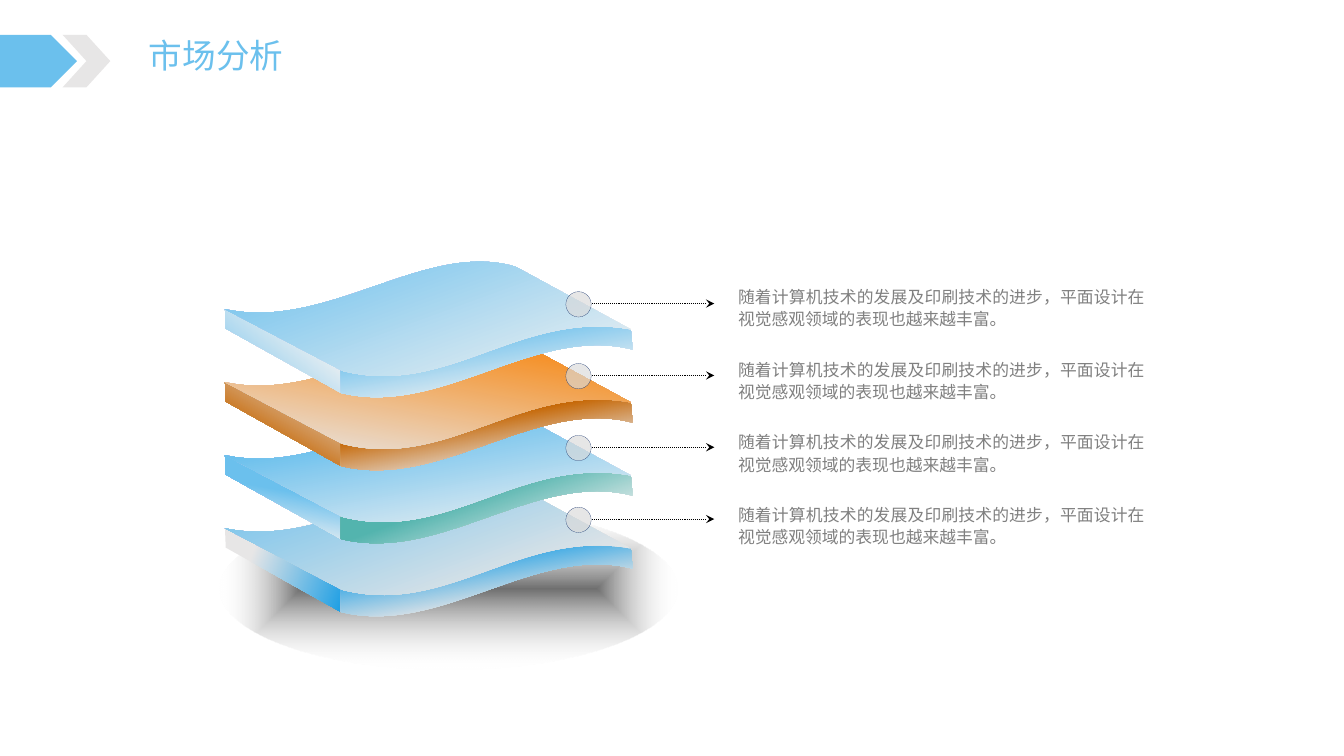
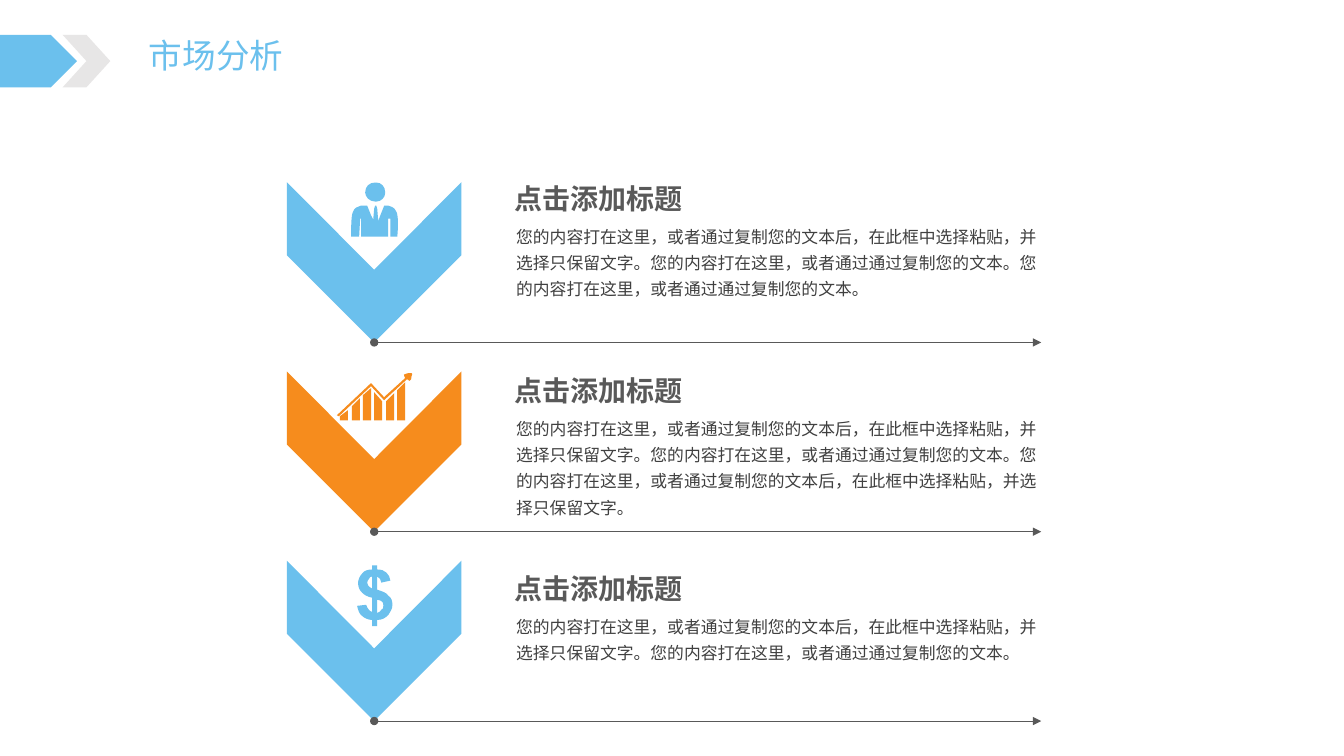
from lxml import etree
from pptx import Presentation
from pptx.dml.color import RGBColor
from pptx.enum.dml import MSO_LINE
from pptx.enum.shapes import MSO_CONNECTOR, MSO_SHAPE as Preset
from pptx.enum.text import MSO_ANCHOR, MSO_AUTO_SIZE as AutoSize, PP_ALIGN as Align
from pptx.oxml.ns import qn
from pptx.util import Cm, Pt

SKY = RGBColor(0x6B, 0xC0, 0xED)
ORANGE = RGBColor(0xF6, 0x8C, 0x1D)
RUST = RGBColor(0xC6, 0x69, 0x08)
TEAL = RGBColor(0x53, 0xB4, 0xAE)
BLUE = RGBColor(0x1E, 0x9F, 0xE4)
NAVY = RGBColor(0x00, 0x20, 0x60)
PALE = RGBColor(0xF2, 0xF2, 0xF2)
SILVER = RGBColor(0xE7, 0xE6, 0xE6)
MARKER_GRAY = RGBColor(0xD9, 0xD9, 0xD9)
CALLOUT_GRAY = RGBColor(0x80, 0x80, 0x80)
HEADING_GRAY = RGBColor(0x59, 0x59, 0x59)
BODY_GRAY = RGBColor(0x40, 0x40, 0x40)
BLACK = RGBColor(0, 0, 0)
WHITE = RGBColor(0xFF, 0xFF, 0xFF)

# Outlines: a pair is a corner, six numbers are a Bézier segment.
SHEET_SIDE = [(0, 0), (2.92, 1.52), (2.92, 2.11), (0.02, 0.49)]
SHEET_FRONT = [(2.92, 1.55), (5.56, 2.26, 7.85, -0.15, 10.23, 0.51),
               (10.23, 0.69, 10.27, 0.84, 10.27, 1.02),
               (7.82, 0.38, 5.44, 2.74, 2.92, 2.11)]
SHEET_TOP = [(7.32, -1.07), (10.23, 0.51), (7.44, 0, 5.61, 2.24, 2.95, 1.55),
             (0, 0), (2.59, 0.56, 5.05, -1.75, 7.32, -1.07)]
CHEVRON = [(4.4, 1.84), (2.2, 4.04), (0, 1.84), (0, 0), (2.2, 2.21), (4.4, 0)]

# Icons are drawn on a grid of their own and scaled to a width.
PERSON = [
    [(25, 23), (26, 26), (27, 38), (25, 44), (29, 33), (33, 23), (37, 23),
     (39, 24, 43, 24, 45, 29), (47, 32, 47, 44, 46, 54), (39, 54), (39, 36),
     (37, 36), (37, 54), (10, 54), (10, 36), (9, 36), (8, 54), (0, 54),
     (0, 44, 0, 32, 2, 29), (3, 25, 7, 24, 10, 23), (16, 23), (20, 33),
     (22, 37), (23, 26), (24, 23)],
    [(24, 0), (25, 0), (30, 0, 34, 4, 34, 10), (34, 15, 30, 19, 25, 19),
     (24, 19), (18, 19, 14, 14, 14, 10), (14, 4, 18, 0, 24, 0)],
]
BAR_TOPS = [(43, 37), (33, 25), (22, 15), (19, 28), (28, 20), (17, 9)]
BARS = [[(x, left), (x + 8, right), (x + 8, 47), (x, 47)]
        for x, (left, right) in zip((3, 15, 26, 37, 49, 60), BAR_TOPS)]
GROWTH = BARS + [
    [(2, 43), (0, 42), (34, 10), (47, 24), (68, 5), (67, 3),
     (66, 2, 67, 1, 68, 1), (70, 0, 72, 0, 73, 0), (74, 0, 75, 0, 75, 1),
     (74, 3, 74, 5, 74, 6), (73, 7), (73, 8, 72, 8, 71, 7), (70, 6),
     (47, 27), (34, 13)],
]
DOLLAR = [
    [(15, 46), (15, 32), (10, 31, 7, 29, 5, 27), (2, 24, 1, 21, 1, 17),
     (1, 14, 3, 10, 5, 8), (7, 5, 11, 4, 15, 4), (15, 0), (20, 0), (20, 4),
     (24, 4, 27, 5, 29, 7), (31, 9, 33, 12, 33, 15), (24, 17),
     (24, 14, 22, 12, 20, 11), (20, 24), (26, 26, 29, 27, 31, 30),
     (34, 32, 35, 35, 35, 39), (35, 43, 33, 46, 31, 49),
     (28, 52, 25, 54, 20, 54), (20, 60), (15, 60), (15, 54),
     (11, 54, 7, 52, 5, 50), (2, 48, 1, 44, 0, 40), (9, 39),
     (10, 41, 10, 42, 11, 43), (12, 45, 14, 46, 15, 46)],
    [(15, 11), (13, 11, 12, 12, 12, 13), (11, 14, 10, 16, 10, 17),
     (10, 18, 11, 19, 11, 20), (12, 21, 13, 22, 15, 23)],
    [(20, 47), (22, 46, 23, 46, 24, 44), (26, 43, 26, 42, 26, 40),
     (26, 38, 26, 37, 25, 36), (24, 35, 22, 34, 20, 34)],
]


def bounds(outlines, steps=16):
    """Return left, top, right and bottom, with the curves sampled."""
    points = []
    for part in (part for outline in outlines for part in outline):
        if len(part) == 2:
            points.append(part)
            continue
        x0, y0 = points[-1]
        x1, y1, x2, y2, x3, y3 = part
        for step in range(1, steps + 1):
            t = step / steps
            u = 1 - t
            a, b, c, d = u ** 3, 3 * u * u * t, 3 * u * t * t, t ** 3
            points.append((a * x0 + b * x1 + c * x2 + d * x3,
                           a * y0 + b * y1 + c * y2 + d * y3))
    xs, ys = zip(*points)
    return min(xs), min(ys), max(xs), max(ys)


def add_alpha(color_parent, percent):
    for color in color_parent.iter(qn("a:srgbClr")):
        etree.SubElement(color, qn("a:alpha"), val=str(percent * 1000))


class Deck:
    FONT = "Noto Sans CJK SC"

    def __init__(self):
        self.prs = Presentation()
        self.prs.slide_width, self.prs.slide_height = Cm(33.87), Cm(19.05)
        self.slide = None

    def new_slide(self, title):
        self.slide = self.prs.slides.add_slide(self.prs.slide_layouts[5])
        holder = self.slide.shapes.title
        holder.left, holder.top = Cm(3.5), Cm(0.76)
        holder.width, holder.height = Cm(3.94), Cm(1.27)
        frame = holder.text_frame
        frame.word_wrap = False
        frame.auto_size = AutoSize.NONE
        frame.vertical_anchor = MSO_ANCHOR.TOP
        frame.paragraphs[0].alignment = Align.LEFT
        self.run(frame.paragraphs[0], title, 24, SKY)
        self.preset(Preset.PENTAGON, 0, 0.88, 1.94, 1.32, SKY)
        self.preset(Preset.CHEVRON, 1.58, 0.88, 1.2, 1.32, SILVER)

    def run(self, paragraph, words, size, color, bold=False):
        run = paragraph.add_run()
        run.text = words
        font = run.font
        font.size, font.bold, font.name = Pt(size), bold, self.FONT
        font.color.rgb = color
        etree.SubElement(run._r.get_or_add_rPr(), qn("a:ea"), typeface=self.FONT)

    def text(self, left, top, width, height, words, size, color, spacing,
             margins=(0.25, 0.13), align=Align.LEFT, bold=False):
        box = self.slide.shapes.add_textbox(Cm(left), Cm(top), Cm(width), Cm(height))
        frame = box.text_frame
        frame.word_wrap = True
        frame.auto_size = AutoSize.SHAPE_TO_FIT_TEXT
        frame.margin_left = frame.margin_right = Cm(margins[0])
        frame.margin_top = frame.margin_bottom = Cm(margins[1])
        paragraph = frame.paragraphs[0]
        paragraph.alignment = align
        paragraph.line_spacing = spacing
        self.run(paragraph, words, size, color, bold)

    def preset(self, kind, left, top, width, height, color):
        shape = self.slide.shapes.add_shape(
            kind, Cm(left), Cm(top), Cm(width), Cm(height))
        shape.shadow.inherit = False
        shape.fill.solid()
        shape.fill.fore_color.rgb = color
        shape.line.fill.background()
        return shape

    def outline(self, outlines, left, top, color, scale=1.0):
        """Draw closed outlines as one freeform with true Bézier segments."""
        x0, y0, x1, y1 = bounds(outlines)
        start, end = [(Cm(left + x * scale), Cm(top + y * scale))
                      for x, y in ((x0, y0), (x1, y1))]
        builder = self.slide.shapes.build_freeform(*start, scale=1.0)
        builder.add_line_segments([end], close=True)
        shape = builder.convert_to_shape()
        drawing = next(shape.element.iter(qn("a:path")))
        for command in list(drawing):
            drawing.remove(command)
        for outline in outlines:
            for index, part in enumerate(outline):
                tag = "a:cubicBezTo" if len(part) == 6 else "a:lnTo"
                command = etree.SubElement(drawing, qn(tag if index else "a:moveTo"))
                for x, y in zip(part[::2], part[1::2]):
                    etree.SubElement(command, qn("a:pt"),
                                     x=str(Cm((x - x0) * scale)),
                                     y=str(Cm((y - y0) * scale)))
            etree.SubElement(drawing, qn("a:close"))
        shape.shadow.inherit = False
        shape.line.fill.background()
        shape.fill.solid()
        shape.fill.fore_color.rgb = color
        return shape

    def icon(self, outlines, left, top, width, color):
        grid_left, _, grid_right, _ = bounds(outlines)
        self.outline(outlines, left, top, color, width / (grid_right - grid_left))

    def gradient(self, shape, start, end, clockwise=0):
        """Fill with two (percent, colour) stops; the angle is in degrees."""
        fill = shape.fill
        fill.gradient()
        fill.gradient_angle = 360 - clockwise
        for stop, (percent, color) in zip(fill.gradient_stops, (start, end)):
            stop.position = percent / 100
            stop.color.rgb = color

    def ground_shadow(self, left, top, width, height):
        shape = self.preset(Preset.OVAL, left, top, width, height, BLACK)
        self.gradient(shape, (0, BLACK), (100, WHITE))
        grad = shape.element.spPr.find(qn("a:gradFill"))
        for stop, opacity in zip(grad.iter(qn("a:gs")), (56, 0)):
            add_alpha(stop, opacity)
        radial = etree.Element(qn("a:path"), path="shape")
        etree.SubElement(radial, qn("a:fillToRect"),
                         l="50000", t="50000", r="50000", b="50000")
        grad.replace(grad.find(qn("a:lin")), radial)

    def sheet(self, left, top, faces):
        parts = []
        for outline, face in zip((SHEET_SIDE, SHEET_FRONT, SHEET_TOP), faces):
            parts.append(self.outline([outline], left, top, SKY))
            self.gradient(parts[-1], *face)
        self.slide.shapes.add_group_shape(parts)

    def marker(self, left, top, size):
        circle = self.preset(Preset.OVAL, left, top, size, size, MARKER_GRAY)
        add_alpha(circle.element.spPr.find(qn("a:solidFill")), 65)
        circle.line.color.rgb = NAVY
        circle.line.width = Pt(0.1)

    def arrow(self, left, right, y, color, weight, tail, head=None, dash=None):
        link = self.slide.shapes.add_connector(
            MSO_CONNECTOR.STRAIGHT, Cm(left), Cm(y), Cm(right), Cm(y))
        link.line.color.rgb = color
        link.line.width = Pt(weight)
        if dash is not None:
            link.line.dash_style = dash
        props = link.element.spPr
        for tag, end in (("a:headEnd", head), ("a:tailEnd", tail)):
            if end:
                etree.SubElement(props.find(qn("a:ln")), qn(tag), type=end)
        etree.SubElement(props, qn("a:effectLst"))


def build_layers(deck):
    deck.new_slide("市场分析")
    deck.ground_shadow(5.54, 12.78, 11.53, 4.09)
    # Bottom to top; the faces are side, front and top.
    sheets = [
        [((25, SILVER), (100, BLUE), 20), ((28, SILVER), (76, BLUE), 260),
         ((14, SILVER), (100, SKY), 250)],
        [((8, PALE), (57, SKY), 280), ((12, PALE), (60, TEAL), 250),
         ((0, PALE), (73, SKY), 260)],
        [((0, SILVER), (69, RUST), 120), ((20, SILVER), (64, RUST), 260),
         ((0, SILVER), (86, ORANGE), 280)],
        [((25, PALE), (100, SKY), 130), ((18, PALE), (76, SKY), 260),
         ((0, PALE), (100, SKY), 250)],
    ]
    for level, faces in enumerate(sheets):
        deck.sheet(5.67, 13.31 - 1.84 * level, faces)
    for row in range(4):
        deck.text(18.27, 6.99 + 1.83 * row, 10.92, 1.47,
                  "随着计算机技术的发展及印刷技术的进步，平面设计在视觉感观领域的表现也越来越丰富。",
                  12, CALLOUT_GRAY, Pt(16), (0.33, 0.18), Align.JUSTIFY)
        drop = 1.81 * row
        deck.arrow(14.91, 18, 7.65 + drop, BLACK, 0.75, "stealth",
                   dash=MSO_LINE.ROUND_DOT)
        deck.marker(14.26, 7.35 + drop, 0.64)


def build_steps(deck):
    deck.new_slide("市场分析")
    opening = ("您的内容打在这里，或者通过复制您的文本后，在此框中选择粘贴，并选择只保留文字。"
               "您的内容打在这里，或者通过通过复制您的文本。")
    # Colour, icon (outline, left, top, width), heading top, body height, body.
    steps = [
        (SKY, (PERSON, 8.85, 4.6, 1.18), 4.14, 2.26,
         opening + "您的内容打在这里，或者通过通过复制您的文本。"),
        (ORANGE, (GROWTH, 8.49, 9.4, 1.9), 8.99, 2.92,
         opening + "您的内容打在这里，或者通过复制您的文本后，在此框中选择粘贴，并选择只保留文字。"),
        (SKY, (DOLLAR, 9, 14.25, 0.89), 13.98, 1.6, opening),
    ]
    for row, (color, icon, heading_top, body_height, body) in enumerate(steps):
        top = 4.59 + 4.77 * row
        deck.outline([CHEVRON], 7.23, top, color)
        deck.icon(*icon, color)
        deck.text(12.76, heading_top + 1.28, 13.87, body_height, body,
                  12, BODY_GRAY, 1.3)
        deck.text(12.72, heading_top, 4.93, 1.27, "点击添加标题",
                  20, HEADING_GRAY, 1.5, (0.25, 0), bold=True)
        deck.arrow(9.43, 26.24, top + 4.04, HEADING_GRAY, 0.5, "triangle", "oval")


def main():
    deck = Deck()
    build_layers(deck)
    build_steps(deck)
    deck.prs.save("out.pptx")


if __name__ == "__main__":
    main()
